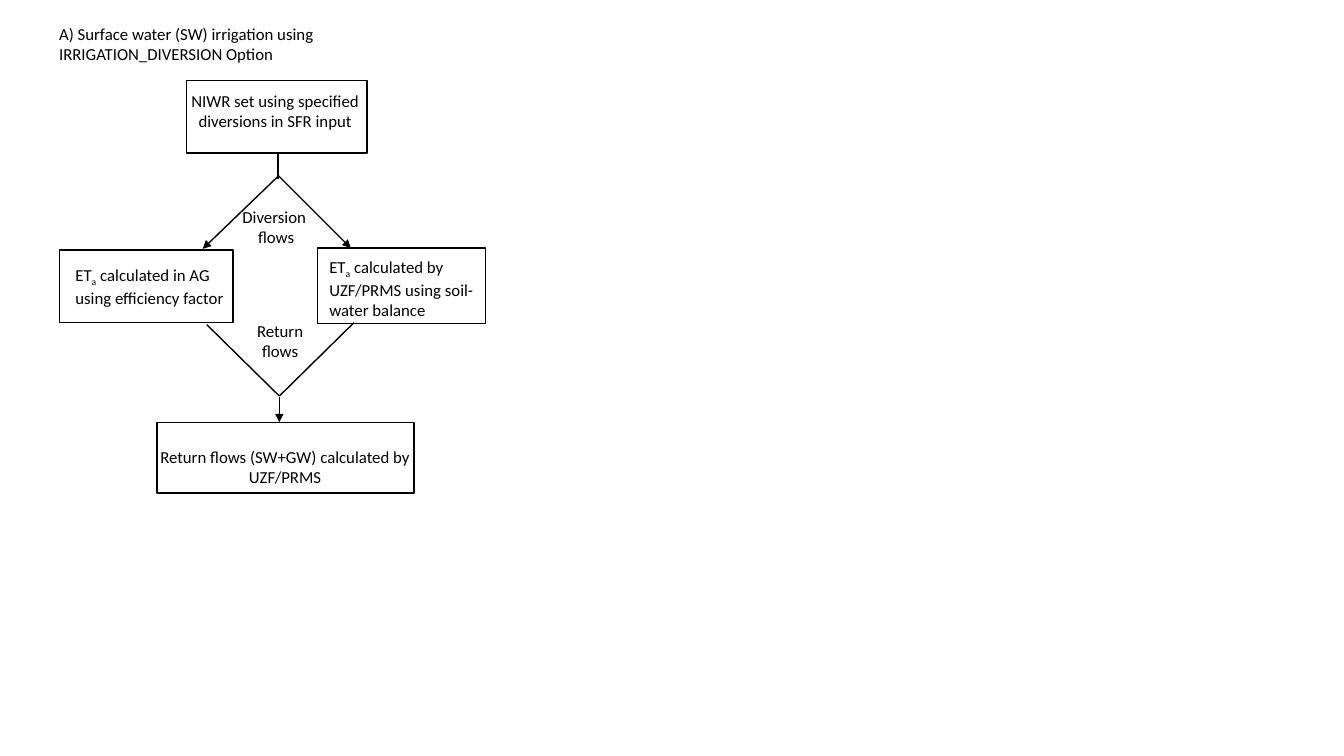
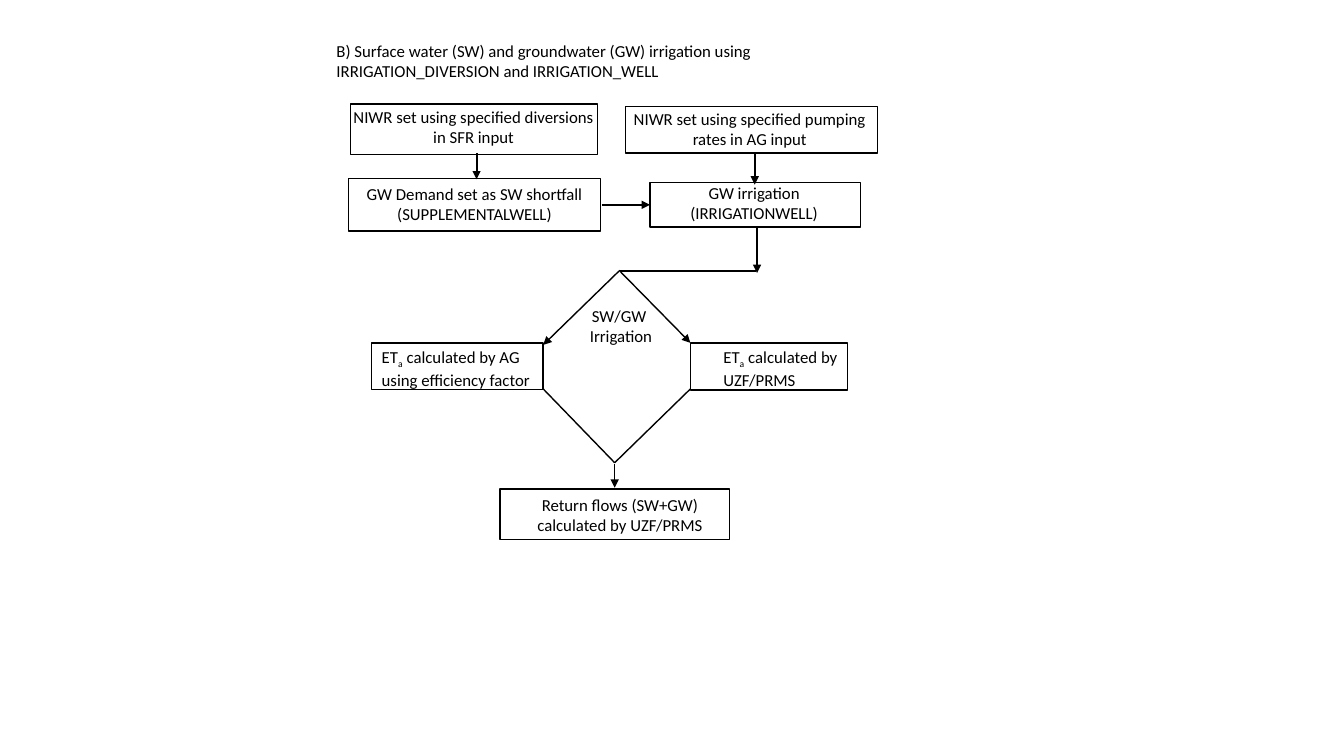
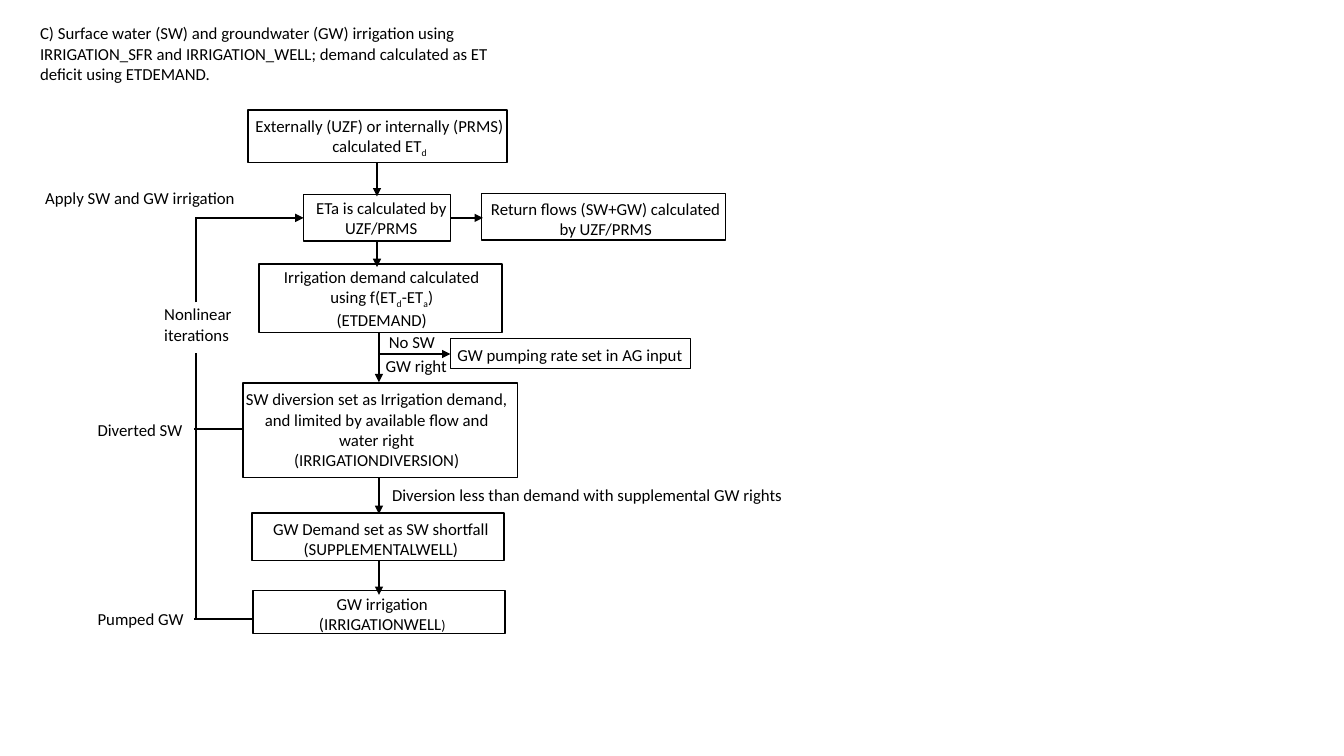
import dataclasses

import lxml.etree
import pptx
import pptx.dml.color
import pptx.enum.shapes
import pptx.enum.text
import pptx.oxml.ns
import pptx.util

Cm = pptx.util.Cm
Pt = pptx.util.Pt
LEFT = pptx.enum.text.PP_ALIGN.LEFT
CENTER = pptx.enum.text.PP_ALIGN.CENTER


@dataclasses.dataclass(frozen=True)
class Theme:
    ink: pptx.dml.color.RGBColor = pptx.dml.color.RGBColor(0, 0, 0)
    font: str = "Calibri"
    text_size: float = 12
    small_size: float = 10
    subscript: str = "-25000"
    thin: float = 1
    thick: float = 1.5


class Flowchart:
    """Draws flowchart parts on the current slide; all lengths are in cm."""

    def __init__(self, theme):
        self.theme = theme
        self.deck = pptx.Presentation()
        self.deck.slide_width = Cm(33.87)
        self.deck.slide_height = Cm(19.05)
        self.slide = None

    def new_slide(self):
        self.slide = self.deck.slides.add_slide(self.deck.slide_layouts[6])

    def text(self, area, *lines, align=LEFT, wrap=True):
        """Each line is cut into runs at |; ~ marks a subscript, ^ a small run."""
        frame = self.slide.shapes.add_textbox(*map(Cm, area)).text_frame
        frame.word_wrap = wrap
        frame.auto_size = pptx.enum.text.MSO_AUTO_SIZE.SHAPE_TO_FIT_TEXT
        for number, line in enumerate(lines):
            paragraph = frame.add_paragraph() if number else frame.paragraphs[0]
            paragraph.alignment = align
            for piece in line.split("|"):
                self.run(paragraph, piece)

    def run(self, paragraph, piece):
        run = paragraph.add_run()
        run.text = piece.lstrip("~^")
        run.font.name = self.theme.font
        run.font.color.rgb = self.theme.ink
        small = piece.startswith("^")
        run.font.size = Pt(self.theme.small_size if small else self.theme.text_size)
        if piece.startswith("~"):
            run.font._element.set("baseline", self.theme.subscript)

    def step(self, frame, area, *lines, align=CENTER):
        """An outlined box with its wording, which has an area of its own."""
        box = self.slide.shapes.add_shape(
            pptx.enum.shapes.MSO_SHAPE.RECTANGLE, *map(Cm, frame))
        box.shadow.inherit = False
        box.fill.background()
        self.ink_line(box.line, self.theme.thin)
        self.text(area, *lines, align=align)

    def ink_line(self, line, width):
        line.color.rgb = self.theme.ink
        line.width = Pt(width)

    def line(self, x1, y1, x2, y2, width, arrow=False):
        link = self.slide.shapes.add_connector(
            pptx.enum.shapes.MSO_CONNECTOR.STRAIGHT, Cm(x1), Cm(y1), Cm(x2), Cm(y2))
        self.ink_line(link.line, width)
        qn = pptx.oxml.ns.qn
        properties = link._element.spPr
        if arrow:
            lxml.etree.SubElement(
                properties.find(qn("a:ln")), qn("a:tailEnd"), type="triangle")
        lxml.etree.SubElement(properties, qn("a:effectLst"))

    def lines(self, width, *ends, arrow=False):
        for x1, y1, x2, y2 in ends:
            self.line(x1, y1, x2, y2, width, arrow)


def surface_water(chart):
    thin = chart.theme.thin
    chart.new_slide()
    chart.text((1.24, 0.48, 10.69, 1.27),
               "A) Surface water (SW) irrigation using IRRIGATION_DIVERSION Option")

    # Steps
    chart.step((4.7, 2.03, 4.55, 1.83), (3.76, 2.16, 6.35, 1.88),
               "NIWR set using specified diversions in SFR input")
    chart.step((1.5, 6.3, 4.37, 1.83), (1.65, 6.55, 4.62, 1.27),
               "ET|~a| calculated in AG using efficiency factor", align=LEFT)
    chart.step((8, 6.25, 4.24, 1.9), (8.05, 6.35, 4.8, 1.8),
               "ET|~a| calculated by UZF/PRMS using soil-water balance", align=LEFT)
    chart.step((3.96, 10.64, 6.48, 1.78), (3.73, 11.13, 6.91, 1.27),
               "Return flows (SW+GW) calculated by UZF/PRMS")

    # Flows that part and join again
    chart.lines(thin, (7.01, 3.86, 7.01, 4.5),
                (5.21, 8.18, 7.04, 9.98), (7.04, 9.98, 8.92, 8.13))
    chart.lines(thin, (7.01, 4.42, 8.84, 6.25), (7.01, 4.44, 5.11, 6.27),
                (7.04, 10.01, 7.04, 10.64), arrow=True)
    chart.text((5.84, 5.08, 2.24, 1.27), "Diversion ", "flows",
               align=CENTER, wrap=False)
    chart.text((6.22, 7.95, 1.68, 1.27), "Return", "flows",
               align=CENTER, wrap=False)


def surface_and_groundwater(chart):
    thin, thick = chart.theme.thin, chart.theme.thick
    chart.new_slide()
    chart.text((8.23, 0.91, 12.7, 1.27),
               "B) Surface water (SW) and groundwater (GW) irrigation using "
               "IRRIGATION_DIVERSION and IRRIGATION_WELL")

    # Sources of water
    chart.step((8.84, 2.62, 6.22, 1.27), (8.48, 2.57, 6.91, 1.27),
               "NIWR set using specified diversions in SFR input")
    chart.step((15.77, 2.69, 6.35, 1.17), (15.29, 2.62, 7.21, 0.91),
               "NIWR set using specified pumping rates in AG input")
    chart.step((8.79, 4.5, 6.35, 1.32), (8.76, 4.5, 6.4, 0.74),
               "GW Demand set as SW shortfall", "(SUPPLEMENTALWELL)")
    chart.step((16.38, 4.6, 5.31, 1.12), (15.21, 4.47, 7.59, 1.45),
               "GW irrigation", "(IRRIGATIONWELL)")
    chart.lines(thick, (12.01, 3.86, 12.01, 4.52), (19.02, 3.86, 19.02, 4.65),
                (15.16, 5.16, 16.38, 5.16), (19.08, 5.72, 19.08, 6.88), arrow=True)
    chart.lines(thick, (15.62, 6.83, 19.05, 6.83))

    # Use of the water
    chart.step((9.37, 8.64, 4.32, 1.17), (9.37, 8.61, 4.62, 1.27),
               "ET|~a| calculated by AG using efficiency factor", align=LEFT)
    chart.step((17.4, 8.64, 3.96, 1.19), (17.98, 8.61, 4.8, 1.27),
               "ET|~a| calculated by UZF/PRMS", align=LEFT)
    chart.step((12.6, 12.32, 5.79, 1.27), (13.06, 12.34, 5.13, 0.76),
               "Return flows (SW+GW) calculated by UZF/PRMS")
    chart.lines(thin, (15.6, 6.81, 17.4, 8.64), (15.6, 6.83, 13.69, 8.69),
                (15.49, 11.68, 15.49, 12.29), arrow=True)
    chart.lines(thin, (13.67, 9.78, 15.49, 11.66), (15.49, 11.66, 17.4, 9.8))
    chart.text((14.61, 7.57, 2.08, 1.27), "SW/GW ", "Irrigation",
               align=CENTER, wrap=False)


def demand_from_deficit(chart):
    thick = chart.theme.thick
    chart.new_slide()
    chart.text((0.76, 0.46, 12.7, 1.8),
               "C) Surface water (SW) and groundwater (GW) irrigation using "
               "IRRIGATION_SFR and IRRIGATION_WELL; demand calculated as ET "
               "deficit using ETDEMAND.")

    # Main column of steps
    chart.step((6.25, 2.77, 6.53, 1.32), (6.02, 2.79, 7.09, 1.27),
               "Externally (UZF) or internally (PRMS) calculated ET|~d")
    chart.step((7.65, 4.9, 3.71, 1.17), (7.21, 4.85, 4.8, 1.27),
               "ETa is calculated by UZF/PRMS")
    chart.step((6.53, 6.65, 6.12, 1.73), (6.43, 6.6, 6.38, 1.68),
               "Irrigation demand calculated using f(ET|~d|-ET|~a|)", "(ETDEMAND)")
    chart.step((6.12, 9.65, 6.93, 2.39), (5.94, 9.68, 7.11, 2.31),
               "SW diversion set as Irrigation demand, and limited by available "
               "flow and water right", "(IRRIGATIONDIVERSION)")
    chart.step((6.35, 12.93, 6.35, 1.19), (6.4, 12.95, 6.4, 1.27),
               "GW Demand set as SW shortfall", "(SUPPLEMENTALWELL)")
    chart.step((6.38, 14.88, 6.35, 1.09), (5.94, 14.83, 7.39, 1.88),
               "GW irrigation", "(IRRIGATIONWELL|^)")
    for x, top, bottom in ((9.5, 4.11, 4.95), (9.5, 6.1, 6.73), (9.55, 8.36, 9.63),
                           (9.55, 12.04, 12.95), (9.55, 14.12, 14.99)):
        chart.line(x, top, x, bottom, thick, arrow=True)

    # Side branches
    chart.step((12.14, 4.88, 6.15, 1.17), (11.94, 4.88, 6.65, 1.27),
               "Return flows (SW+GW) calculated by UZF/PRMS")
    chart.step((11.35, 8.53, 6.05, 0.76), (10.67, 8.56, 7.39, 0.76),
               "GW pumping rate set in AG input")
    chart.lines(thick, (11.35, 5.49, 12.17, 5.49), (9.55, 8.92, 11.35, 8.92),
                arrow=True)
    chart.text((9.55, 8.23, 3.05, 0.76), "No SW")
    chart.text((9.47, 8.84, 2.95, 0.76), "GW right")
    chart.text((9.63, 12.09, 10.44, 0.76),
               "Diversion less than demand with supplemental GW rights", wrap=False)

    # Loop back to the ET step
    chart.lines(thick, (6.4, 15.6, 4.9, 15.6), (6.15, 10.82, 4.88, 10.82),
                (4.93, 15.62, 4.93, 8.89), (4.95, 7.62, 4.95, 5.46))
    chart.line(4.95, 5.49, 7.65, 5.49, thick, arrow=True)
    chart.text((3.89, 7.54, 2.62, 1.27), "Nonlinear iterations")
    for left, top, width, label in ((0.89, 4.6, 5.33, "Apply SW and GW irrigation"),
                                    (2.21, 10.46, 2.67, "Diverted SW"),
                                    (2.21, 15.21, 2.72, "Pumped GW")):
        chart.text((left, top, width, 0.76), label, wrap=False)


def main():
    chart = Flowchart(Theme())
    surface_water(chart)
    surface_and_groundwater(chart)
    demand_from_deficit(chart)
    chart.deck.save("out.pptx")


if __name__ == "__main__":
    main()
